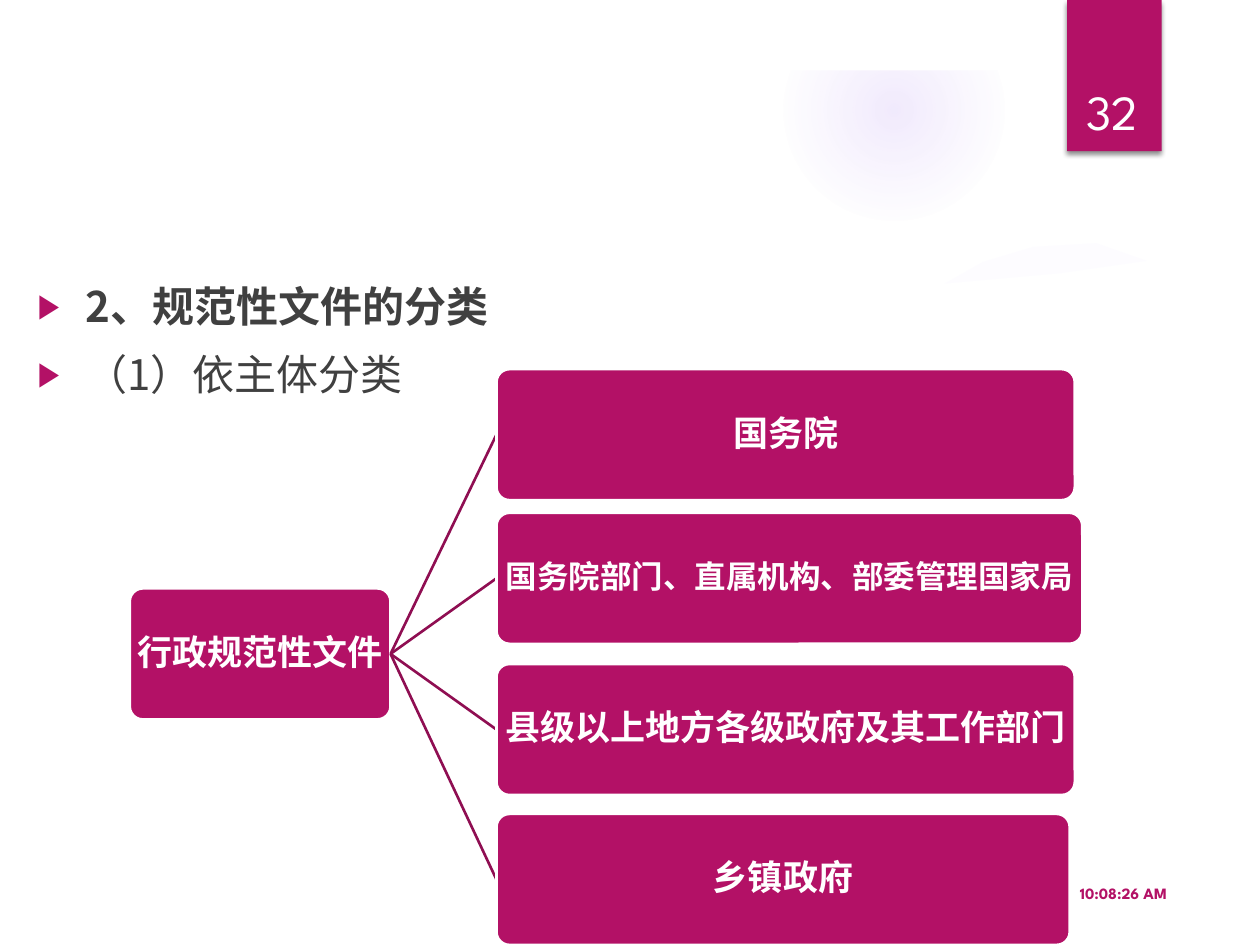
import lxml.etree
import pptx
import pptx.dml.color
import pptx.enum.shapes
import pptx.enum.text
import pptx.oxml
import pptx.oxml.ns
import pptx.util
from pptx.util import Inches

MAGENTA, DARK_MAGENTA, WHITE, GREY = "B31166", "8F0E52", "FFFFFF", "404040"
LATIN, CHINESE = "League Spartan", "Noto Sans CJK SC"
SHAPES = pptx.enum.shapes.MSO_SHAPE
ALIGN = pptx.enum.text.PP_ALIGN
ANCHOR = pptx.enum.text.MSO_ANCHOR
BOX_HEIGHT = 1.04
ROOT = ("行政规范性文件", 1.03, 4.67, 2.07, 20)
BRANCHES = [
    ("国务院", 3.94, 2.93, 4.59, 20),
    ("国务院部门、直属机构、部委管理国家局", 3.94, 4.07, 4.65, 18),
    ("县级以上地方各级政府及其工作部门", 3.94, 5.27, 4.59, 20),
    ("乡镇政府", 3.94, 6.46, 4.55, 20),
]


def color(value):
    return pptx.dml.color.RGBColor.from_string(value)


def drawing_xml(text):
    return pptx.oxml.parse_xml(text.replace(">", f" {pptx.oxml.ns.nsdecls('a')}>", 1))


def style_paragraph(paragraph, size, value, bold=False, align=ALIGN.LEFT, font=LATIN):
    paragraph.alignment = align
    paragraph.font.size = pptx.util.Pt(size)
    paragraph.font.bold = bold
    paragraph.font.name = font
    paragraph.font.color.rgb = color(value)
    for run in paragraph.runs:
        properties = run._r.get_or_add_rPr()
        east_asian = lxml.etree.SubElement(properties, pptx.oxml.ns.qn("a:ea"))
        east_asian.set("typeface", CHINESE)


def add_filled_shape(slide, kind, left, top, width, height, fill):
    shape = slide.shapes.add_shape(
        kind, Inches(left), Inches(top), Inches(width), Inches(height))
    shape.shadow.inherit = False
    shape.fill.solid()
    shape.fill.fore_color.rgb = color(fill)
    shape.line.fill.background()
    return shape


def add_text(slide, left, top, width, height, lines, anchor):
    frame = slide.shapes.add_textbox(
        Inches(left), Inches(top), Inches(width), Inches(height)).text_frame
    frame.word_wrap = True
    frame.vertical_anchor = anchor
    frame.text = "\n".join(lines)
    return frame.paragraphs


def add_background(slide):
    """Soft violet glow cut off by the white top margin, and a faint sweep."""
    glow = add_filled_shape(slide, SHAPES.OVAL, 6.22, 0, 1.75, 1.75, WHITE)
    stops = "".join(
        f'<a:gs pos="{position}000"><a:srgbClr val="9B6BF2">'
        f'<a:alpha val="{alpha}000"/></a:srgbClr></a:gs>'
        for position, alpha in [(0, 14), (36, 7), (73, 0)])
    gradient = drawing_xml(
        f'<a:gradFill><a:gsLst>{stops}</a:gsLst><a:path path="circle">'
        '<a:fillToRect l="50000" t="50000" r="50000" b="50000"/></a:path></a:gradFill>')
    solid = glow._element.spPr.find(pptx.oxml.ns.qn("a:solidFill"))
    solid.getparent().replace(solid, gradient)
    add_filled_shape(slide, SHAPES.RECTANGLE, 0, 0, 10, 0.56, WHITE)

    builder = slide.shapes.build_freeform(Inches(7.5), Inches(2.25), scale=1.0)
    sweep_points = [(7.8, 2.08), (8.2, 1.96), (8.7, 1.93), (9.1, 2.07), (8.4, 2.17)]
    builder.add_line_segments([(Inches(x), Inches(y)) for x, y in sweep_points])
    sweep = builder.convert_to_shape()
    sweep.shadow.inherit = False
    sweep.fill.solid()
    sweep.fill.fore_color.rgb = color("FDFCFF")
    sweep.line.fill.background()


def add_page_marker(slide):
    marker = add_filled_shape(slide, SHAPES.RECTANGLE, 8.47, 0, 0.75, 1.2, MAGENTA)
    effects = marker._element.spPr.find(pptx.oxml.ns.qn("a:effectLst"))
    effects.append(drawing_xml(
        '<a:outerShdw blurRad="38100" dist="25400" dir="5400000" rotWithShape="0">'
        '<a:srgbClr val="000000"><a:alpha val="45000"/></a:srgbClr></a:outerShdw>'))
    number = add_text(slide, 8.4, 0.32, 0.86, 0.84, ["32"], ANCHOR.BOTTOM)[0]
    style_paragraph(number, 28, WHITE, align=ALIGN.CENTER)


def add_bullets(slide):
    lines = ["2、规范性文件的分类", "（1）依主体分类"]
    paragraphs = add_text(slide, 0.2, 2.18, 6.53, 3.86, lines, ANCHOR.TOP)
    for index, paragraph in enumerate(paragraphs):
        style_paragraph(paragraph, 24, GREY, bold=index == 0, font=CHINESE)
        paragraph.space_before = pptx.util.Pt(10)
        properties = paragraph._p.get_or_add_pPr()
        properties.set("marL", str(Inches(0.38)))
        properties.set("indent", str(Inches(-0.38)))
        bullet = [
            f'<a:buClr><a:srgbClr val="{MAGENTA}"/></a:buClr>',
            '<a:buSzPct val="80000"></a:buSzPct>',
            '<a:buFont typeface="Arial"></a:buFont>',
            '<a:buChar char="▶"></a:buChar>',
        ]
        position = properties.index(properties.find(pptx.oxml.ns.qn("a:defRPr")))
        for offset, part in enumerate(bullet):
            element = drawing_xml(part.replace("/>", "></a:srgbClr>"))
            properties.insert(position + offset, element)


def add_box(slide, text, left, top, width, size):
    box = add_filled_shape(
        slide, SHAPES.ROUNDED_RECTANGLE, left, top, width, BOX_HEIGHT, MAGENTA)
    box.adjustments[0] = 0.1
    box.line.color.rgb = color(WHITE)
    box.line.width = pptx.util.Pt(1.5)
    frame = box.text_frame
    frame.word_wrap = True
    frame.vertical_anchor = ANCHOR.MIDDLE
    frame.margin_left = frame.margin_right = Inches(0.01)
    frame.margin_top = frame.margin_bottom = Inches(0.01)
    frame.text = text
    paragraph = frame.paragraphs[0]
    style_paragraph(paragraph, size, WHITE, bold=True, align=ALIGN.CENTER)
    paragraph.line_spacing = 0.9


def add_link(slide, start_x, start_y, end_x, end_y):
    link = slide.shapes.add_connector(
        pptx.enum.shapes.MSO_CONNECTOR.STRAIGHT,
        Inches(start_x), Inches(start_y), Inches(end_x), Inches(end_y))
    link.line.color.rgb = color(DARK_MAGENTA)
    link.line.width = pptx.util.Pt(1.5)
    lxml.etree.SubElement(link._element.spPr, pptx.oxml.ns.qn("a:effectLst"))


def add_tree(slide):
    add_box(slide, *ROOT)
    root_right = ROOT[1] + ROOT[3]
    root_middle = ROOT[2] + BOX_HEIGHT / 2
    for branch in BRANCHES:
        left, top = branch[1:3]
        add_link(slide, root_right, root_middle, left, top + BOX_HEIGHT / 2)
        add_box(slide, *branch)


def main():
    presentation = pptx.Presentation()
    presentation.slide_width = Inches(10)
    presentation.slide_height = Inches(7.5)
    slide = presentation.slides.add_slide(presentation.slide_layouts[6])
    add_background(slide)
    add_page_marker(slide)
    add_bullets(slide)
    time = add_text(slide, 8.28, 6.96, 1.08, 0.25, ["10:08:26 AM"], ANCHOR.BOTTOM)[0]
    style_paragraph(time, 9, MAGENTA, bold=True, align=ALIGN.RIGHT)
    add_tree(slide)
    presentation.save("out.pptx")


if __name__ == "__main__":
    main()
